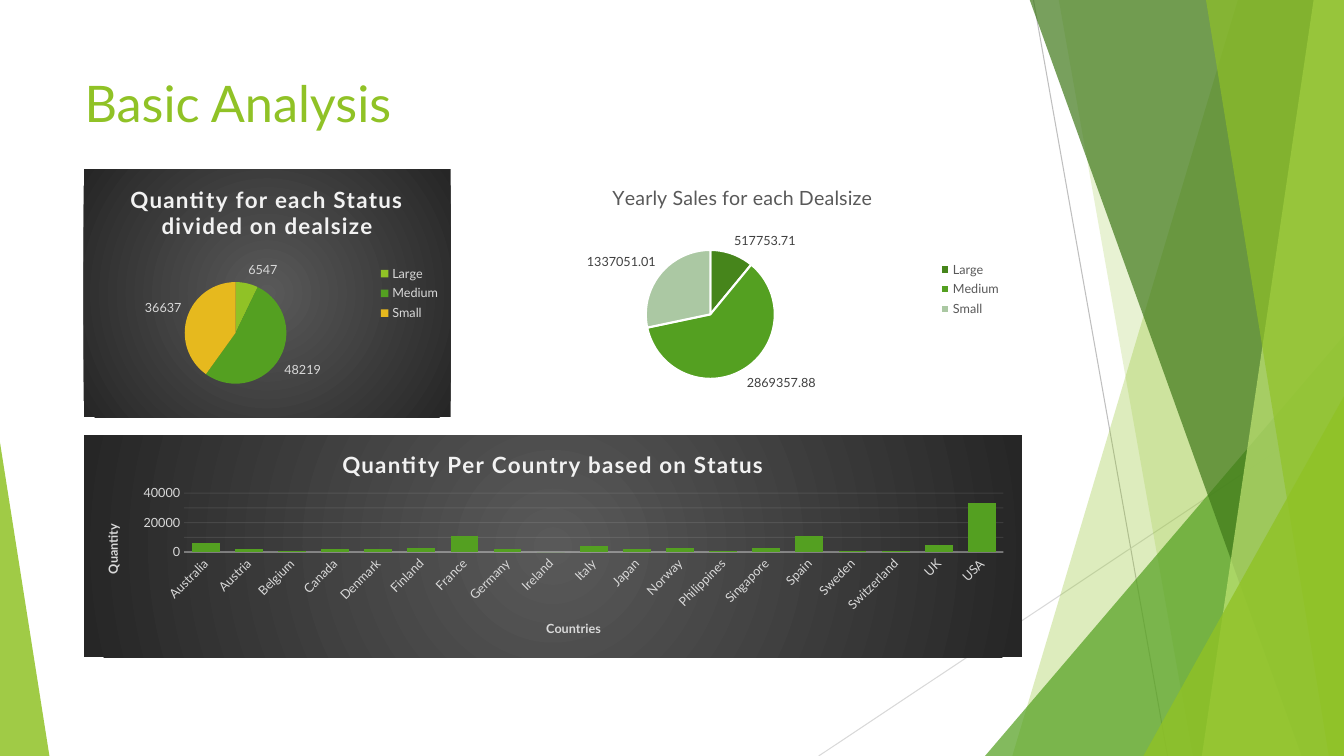
import pptx
import pptx.chart.data
import pptx.dml.color
import pptx.enum.chart
import pptx.enum.shapes
import pptx.enum.text
import pptx.oxml
import pptx.oxml.ns
import pptx.util
from lxml import etree

Inches = pptx.util.Inches
Pt = pptx.util.Pt
kinds = pptx.enum.chart.XL_CHART_TYPE
shapes = pptx.enum.shapes.MSO_SHAPE
colors = {
    "lime": "90C226", "green": "54A021", "forest": "3F7819", "pale": "C0E474",
    "gold": "E6B91E", "dark green": "46851B", "sage": "ABC8A3", "white": "FFFFFF",
    "light": "F2F2F2", "mist": "D9D9D9", "silver": "BFBFBF", "gray": "595959",
    "charcoal": "404040", "black": "262626",
}
rgb = {name: pptx.dml.color.RGBColor.from_string(code) for name, code in colors.items()}


def fade(color_elements, percent):
    for element in color_elements:
        alpha = etree.SubElement(element, pptx.oxml.ns.qn("a:alpha"))
        alpha.set("val", str(percent * 1000))


def set_font(font, size, color, bold=False):
    for name, value in {"name": "Lato", "size": Pt(size), "bold": bold}.items():
        setattr(font, name, value)
    font.color.rgb = rgb[color]


deck = pptx.Presentation()
deck.slide_width, deck.slide_height = Inches(13.33), Inches(7.5)
page = deck.slides.add_slide(deck.slide_layouts[6])

for x1, y1, x2, y2, color in [
    (10.25, 0, 11.58, 7.5, "silver"),
    (13.33, 4.03, 8.12, 7.5, "mist"),
]:
    line = page.shapes.add_connector(
        pptx.enum.shapes.MSO_CONNECTOR.STRAIGHT, Inches(x1), Inches(y1), Inches(x2), Inches(y2))
    line.line.color.rgb = rgb[color]
    line.line.width = Pt(0.75)
    etree.SubElement(line.element.spPr, pptx.oxml.ns.qn("a:effectLst"))

facets = [
    ("band", 12.28, 10.04, "lime", 30),
    ("band", 10.5, 11.83, "lime", 20),
    ("triangle", (9.77, 3.33, 3.56, 4.17), 1, "green", 72),
    ("band", 10.21, 12.91, "forest", 70),
    ("band", 13.03, 11.92, "pale", 70),
    ("band", 11.96, 13.18, "lime", 65),
    ("triangle", (11.34, 3.93, 1.99, 3.57), 1, "lime", 80),
    ("triangle", (0, 4.39, 0.49, 3.11), 0, "lime", 85),
]
for kind, first, second, color, opacity in facets:
    if kind == "band":
        outline = page.shapes.build_freeform(Inches(first), Inches(-0.01))
        corners = [(13.33, -0.01), (13.33, 7.5), (second, 7.5)]
        outline.add_line_segments([(Inches(x), Inches(y)) for x, y in corners], close=True)
        facet = outline.convert_to_shape()
    else:
        facet = page.shapes.add_shape(shapes.ISOSCELES_TRIANGLE, *map(Inches, first))
        facet.adjustments[0] = second
    facet.shadow.inherit = False
    facet.fill.solid()
    facet.fill.fore_color.rgb = rgb[color]
    facet.line.fill.background()
    fade(facet.element.spPr.xpath("a:solidFill/a:srgbClr"), opacity)

box = page.shapes.add_textbox(Inches(0.74), Inches(0.67), Inches(9.4), Inches(0.84))
box.text_frame.word_wrap = True
box.text_frame.vertical_anchor = pptx.enum.text.MSO_ANCHOR.TOP
span = box.text_frame.paragraphs[0].add_run()
span.text = "Basic Analysis"
set_font(span.font, 36, "lime")

sizes = ["Large", "Medium", "Small"]
countries = [
    "Australia", "Austria", "Belgium", "Canada", "Denmark", "Finland", "France",
    "Germany", "Ireland", "Italy", "Japan", "Norway", "Philippines", "Singapore",
    "Spain", "Sweden", "Switzerland", "UK", "USA",
]
quantities = [6000, 2000, 1000, 2000, 2000, 3000, 11000, 2000, 0, 4000, 2000, 3000,
              1000, 3000, 11000, 1000, 1000, 5000, 33000]
charts = [
    dict(title="Quantity for each Status divided on dealsize", kind=kinds.PIE, dark=True,
         place=(0.83, 1.68, 3.64, 2.46), plot=(0.275, 0.455, 0.278, 0.41),
         names=sizes, values=[6547, 48219, 36637],
         slices=["lime", "green", "gold"], labels="mist"),
    dict(title="Yearly Sales for each Dealsize", kind=kinds.PIE, dark=False,
         place=(4.7, 1.68, 5.33, 2.38), plot=(0.32, 0.335, 0.24, 0.54),
         names=sizes, values=[517753.71, 2869357.88, 1337051.01],
         slices=["dark green", "green", "sage"], labels="charcoal"),
    dict(title="Quantity Per Country based on Status", kind=kinds.COLUMN_STACKED, dark=True,
         place=(0.83, 4.32, 9.31, 2.2), plot=(0.107, 0.26, 0.873, 0.266),
         names=countries, values=quantities),
]
for item in charts:
    data = pptx.chart.data.CategoryChartData()
    data.categories = item["names"]
    data.add_series("Series 1", item["values"])
    chart = page.shapes.add_chart(item["kind"], *map(Inches, item["place"]), data).chart
    root = chart.element
    set_font(chart.font, 10, "black")

    title = chart.chart_title.text_frame.paragraphs[0].add_run()
    title.text = item["title"]
    if item["dark"]:
        set_font(title.font, 16, "light", True)
        root.xpath("c:chart/c:title//a:rPr")[0].set("spc", "100")
        root.xpath("c:chart")[0].addnext(pptx.oxml.parse_xml(
            f'<c:spPr {pptx.oxml.ns.nsdecls("c", "a")}><a:gradFill><a:gsLst>'
            f'<a:gs pos="0"><a:srgbClr val="{colors["gray"]}"/></a:gs>'
            f'<a:gs pos="100000"><a:srgbClr val="{colors["black"]}"/></a:gs></a:gsLst>'
            '<a:path path="circle"><a:fillToRect l="50000" t="50000" r="50000" b="50000"/>'
            '</a:path></a:gradFill><a:ln><a:noFill/></a:ln></c:spPr>'))
    else:
        set_font(title.font, 14, "gray")

    area = root.xpath("c:chart/c:plotArea")[0]
    for old_layout in area.xpath("c:layout"):
        area.remove(old_layout)
    measures = "".join(f'<c:{key} val="{value}"/>' for key, value in zip("xywh", item["plot"]))
    area.insert(0, pptx.oxml.parse_xml(
        f'<c:layout {pptx.oxml.ns.nsdecls("c")}><c:manualLayout><c:layoutTarget val="inner"/>'
        f'<c:xMode val="edge"/><c:yMode val="edge"/>{measures}</c:manualLayout></c:layout>'))

    plot = chart.plots[0]
    series = plot.series[0]
    if item["kind"] == kinds.PIE:
        plot.vary_by_categories = True
        for index, color in enumerate(item["slices"]):
            piece = series.points[index].format
            piece.fill.solid()
            piece.fill.fore_color.rgb = rgb[color]
            if item["dark"]:
                piece.line.fill.background()
            else:
                piece.line.color.rgb = rgb["white"]
                piece.line.width = Pt(1.5)
        labels = series.data_labels
        labels.show_value = True
        labels.position = pptx.enum.chart.XL_LABEL_POSITION.OUTSIDE_END
        set_font(labels.font, 9, item["labels"])
        chart.has_legend = True
        chart.legend.position = pptx.enum.chart.XL_LEGEND_POSITION.RIGHT
        chart.legend.include_in_layout = False
        set_font(chart.legend.font, 9, "mist" if item["dark"] else "gray")
        continue

    chart.has_legend = False
    plot.vary_by_categories = False
    plot.gap_width, plot.overlap = 55, 100
    series.format.fill.solid()
    series.format.fill.fore_color.rgb = rgb["green"]
    across, upright = chart.category_axis, chart.value_axis
    for axis, name in [(across, "Countries"), (upright, "Quantity")]:
        axis.major_tick_mark = axis.minor_tick_mark = pptx.enum.chart.XL_TICK_MARK.NONE
        set_font(axis.tick_labels.font, 9, "mist")
        span = axis.axis_title.text_frame.paragraphs[0].add_run()
        span.text = name
        set_font(span.font, 9, "mist", True)
    upright.minimum_scale, upright.maximum_scale, upright.major_unit = 0, 40000, 10000
    upright.format.line.fill.background()
    for rule, width in [(across.format.line, 1), (upright.major_gridlines.format.line, 0.75)]:
        rule.color.rgb = rgb["light"]
        rule.width = Pt(width)
    fade(root.xpath(".//c:catAx/c:spPr//a:srgbClr"), 54)
    fade(root.xpath(".//c:majorGridlines//a:srgbClr"), 10)
    root.xpath(".//c:catAx/c:txPr/a:bodyPr")[0].set("rot", "-2700000")
    root.xpath(".//c:valAx/c:title//a:bodyPr")[0].set("rot", "-5400000")

deck.save("out.pptx")
